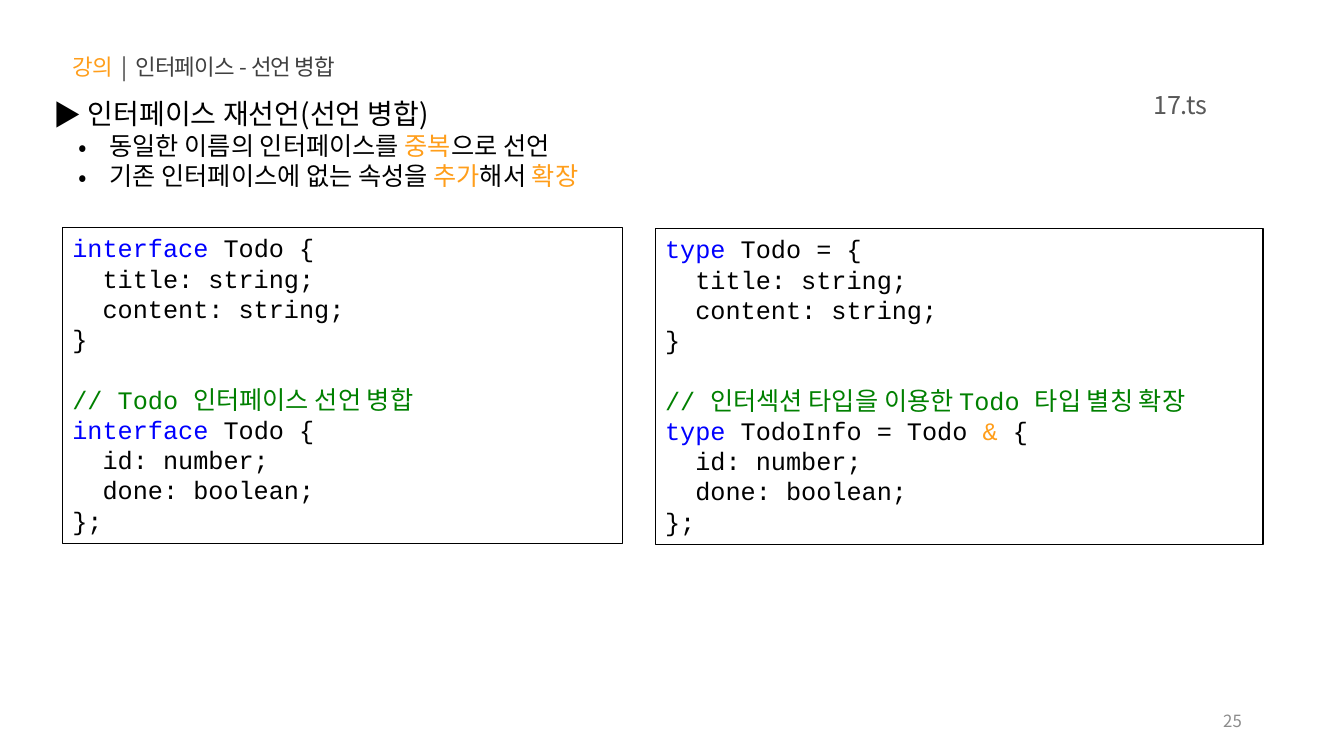
"""Build a lecture slide on merging interface declarations in TypeScript."""
from pptx import Presentation
from pptx.dml.color import RGBColor
from pptx.enum import shapes, text
from pptx.oxml import parse_xml
from pptx.oxml.ns import nsdecls
from pptx.util import Pt

SANS, MONO = "Noto Sans CJK KR", "Courier New"
BLACK, ORANGE, BLUE, GREEN = "000000", "FF9E1B", "0000FF", "008000"
DARK, GREY, PALE = "404040", "595959", "8C8C8C"
LEADING = 1.2

TITLE = [[("강의  ", ORANGE), ("|  인터페이스 - 선언 병합", DARK)]]
HEADING = [(" 인터페이스 재선언(선언 병합)", BLACK)]
POINTS = [
    [(" 동일한 이름의 인터페이스를 ", BLACK), ("중복", ORANGE), ("으로 선언", BLACK)],
    [(" 기존 인터페이스에 없는 속성을 ", BLACK), ("추가", ORANGE), ("해서 ", BLACK),
     ("확장", ORANGE)],
]
FIRST_FIELDS = [[(line, BLACK)] for line in ("  title: string;", "  content: string;", "}")]
ADDED_FIELDS = [[(line, BLACK)] for line in ("  id: number;", "  done: boolean;", "};")]
INTERFACE_CODE = [
    [("interface", BLUE), (" Todo {", BLACK)],
    *FIRST_FIELDS,
    [("// Todo 인터페이스 선언 병합", GREEN)],
    [("interface", BLUE), (" Todo {", BLACK)],
    *ADDED_FIELDS,
]
TYPE_CODE = [
    [("type", BLUE), (" Todo = {", BLACK)],
    *FIRST_FIELDS,
    [("// 인터섹션 타입을 이용한 Todo 타입 별칭 확장", GREEN)],
    [("type", BLUE), (" TodoInfo = Todo ", BLACK), ("&", ORANGE), (" {", BLACK)],
    *ADDED_FIELDS,
]
CODE_BOXES = [
    (INTERFACE_CODE, (44.6, 162.7, 400.3, 225.4)),
    (TYPE_CODE, (468, 163.4, 434.2, 225.4)),
]
LABELS = [
    ("17.ts", 18, GREY, (684, 60.5, 185.8, 28.8)),
    ("25", 12, PALE, (678.2, 500.4, 216, 28.8)),
]


def colour(value):
    return RGBColor.from_string(value)


def place(box, area):
    box.left, box.top, box.width, box.height = map(Pt, area)
    frame = box.text_frame
    frame.word_wrap = True
    frame.auto_size = text.MSO_AUTO_SIZE.NONE
    frame.vertical_anchor = text.MSO_ANCHOR.TOP
    frame.margin_left = frame.margin_right = Pt(7.2)
    frame.margin_top = frame.margin_bottom = Pt(3.6)
    return frame


def write(para, spans, size, font=SANS, align=text.PP_ALIGN.LEFT):
    para.alignment = align
    para.line_spacing = Pt(size * LEADING)
    para.space_before = para.space_after = Pt(0)
    for words, shade in spans:
        span = para.add_run()
        span.text = words
        span.font.size = Pt(size)
        span.font.name = font
        span.font.color.rgb = colour(shade)
        span.font._element.append(parse_xml(f'<a:ea {nsdecls("a")} typeface="{SANS}"/>'))


def fill_lines(frame, lines, size, font=SANS):
    for index, spans in enumerate(lines):
        para = frame.paragraphs[0] if index == 0 else frame.add_paragraph()
        write(para, spans, size, font)


def set_bullet(para, mark, left, indent):
    props = para._p.get_or_add_pPr()
    props.set("marL", str(Pt(left)))
    props.set("indent", str(Pt(indent)))
    props.append(parse_xml(f'<a:buFont {nsdecls("a")} typeface="{SANS}"/>'))
    props.append(parse_xml(f'<a:buChar {nsdecls("a")} char="{mark}"/>'))


def add_title(page):
    frame = place(page.shapes.title, (44.6, 34.6, 370.8, 26.6))
    fill_lines(frame, TITLE, 16)
    for span in frame.paragraphs[0].runs:
        span.font._element.set("spc", "-60")


def add_points(page):
    frame = place(page.placeholders[1], (31, 65.5, 658, 74.9))
    heading = frame.paragraphs[0]
    write(heading, HEADING, 20)
    set_bullet(heading, "▶", 0, 0)
    for spans in POINTS:
        para = frame.add_paragraph()
        para.level = 1
        write(para, spans, 18)
        set_bullet(para, "•", 36, -18)


def add_code(page, lines, area):
    box = page.shapes.add_shape(shapes.MSO_SHAPE.RECTANGLE, *map(Pt, area))
    box.shadow.inherit = False
    box.fill.background()
    box.line.color.rgb = colour(BLACK)
    box.line.width = Pt(0.75)
    frame = place(box, area)
    fill_lines(frame, lines, 18, MONO)
    for para in frame.paragraphs:
        if para.text.startswith("//"):
            para.space_before = Pt(18 * LEADING)


def add_label(page, words, size, shade, area):
    frame = place(page.shapes.add_textbox(*map(Pt, area)), area)
    frame.vertical_anchor = text.MSO_ANCHOR.MIDDLE
    write(frame.paragraphs[0], [(words, shade)], size, align=text.PP_ALIGN.RIGHT)


def main():
    deck = Presentation()
    deck.slide_width, deck.slide_height = Pt(960), Pt(540)
    page = deck.slides.add_slide(deck.slide_layouts[1])
    add_title(page)
    add_points(page)
    for lines, area in CODE_BOXES:
        add_code(page, lines, area)
    for label in LABELS:
        add_label(page, *label)
    deck.save("out.pptx")


if __name__ == "__main__":
    main()
